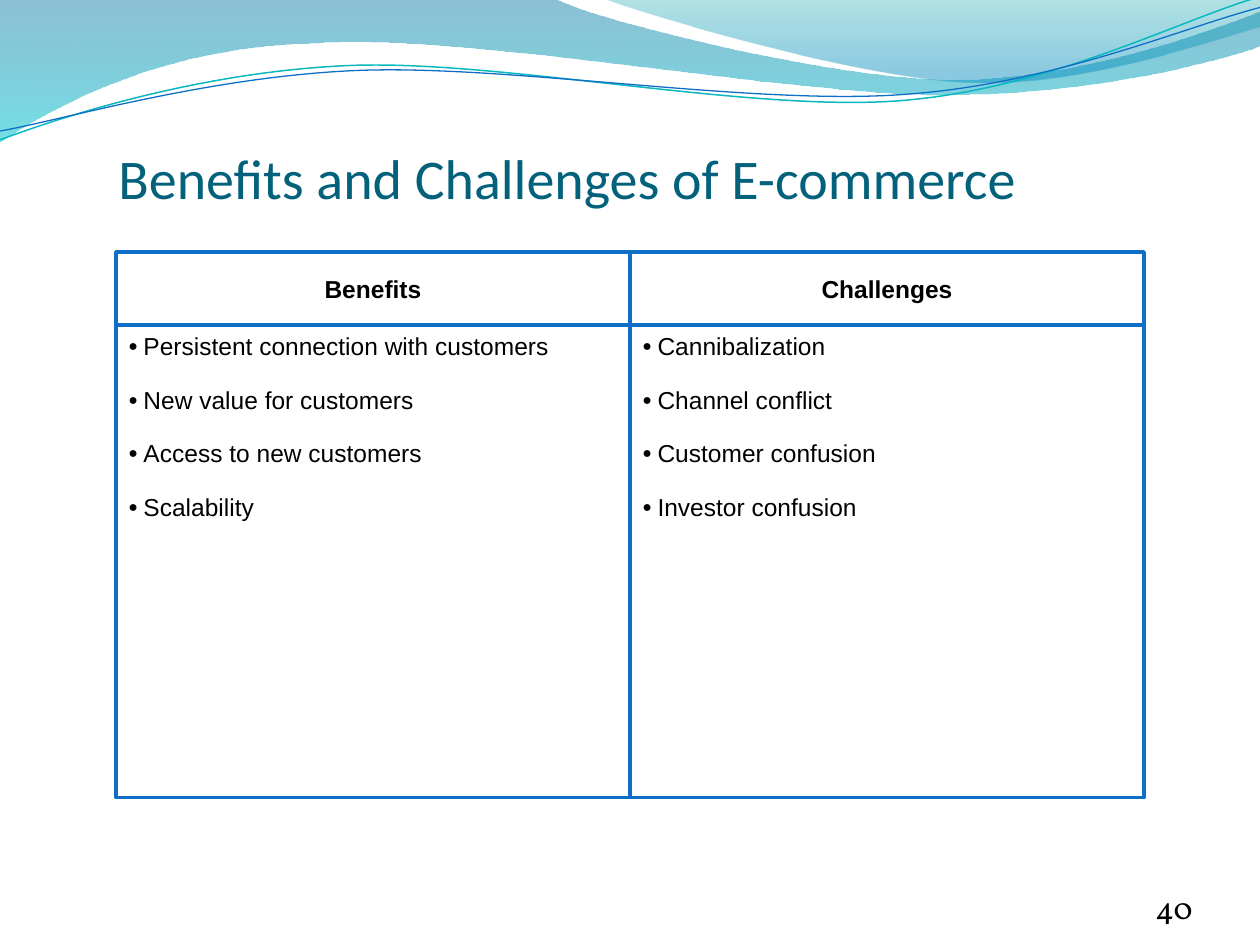
import math
from typing import NamedTuple, Optional

from lxml import etree
from pptx import Presentation
from pptx.dml.color import RGBColor
from pptx.enum.shapes import MSO_SHAPE
from pptx.enum.text import MSO_ANCHOR, PP_ALIGN
from pptx.oxml.ns import qn
from pptx.util import Inches, Pt

RECT = MSO_SHAPE.RECTANGLE
TOP, MIDDLE, BOTTOM = MSO_ANCHOR.TOP, MSO_ANCHOR.MIDDLE, MSO_ANCHOR.BOTTOM
LEFT, CENTER = PP_ALIGN.LEFT, PP_ALIGN.CENTER

BLUE = RGBColor(0x0F, 0x6F, 0xC6)
TEAL = RGBColor(0x0A, 0xB8, 0xBF)
TITLE_BLUE = RGBColor(0x04, 0x61, 0x7B)
BLACK = RGBColor(0, 0, 0)
WHITE = RGBColor(0xFF, 0xFF, 0xFF)
LINE_TILT = -2.7


class Stop(NamedTuple):
    position: float
    color: RGBColor
    opacity: int


class Wave(NamedTuple):
    """Each segment is an end point (2 numbers) or a Bezier curve (6)."""
    start: tuple
    segments: list
    stops: Optional[list] = None
    line_color: Optional[RGBColor] = None
    line_width: float = 0
    center: tuple = (0, 0)


class Column(NamedTuple):
    heading: str
    points: list


WAVES = [
    Wave((0, 0), [(4.4, -0.01), (4.76, 0.17, 6.64, 0.63, 7.58, 0.63),
                  (8.53, 0.63, 9.58, 0.26, 10, 0.09), (10.01, 0.36),
                  (9.83, 0.44, 8.7, 0.76, 7.46, 0.75),
                  (6.22, 0.75, 3.82, 0.28, 2.57, 0.34),
                  (1.29, 0.36, 0.46, 0.83, -0.01, 1.13), (0, 0)],
         stops=[Stop(0, RGBColor(0x00, 0x74, 0xA1), 45),
                Stop(1, RGBColor(0x00, 0xC6, 0xCF), 55)]),
    Wave((4.79, -0.01), [(5.09, 0.11, 6.82, 0.62, 7.69, 0.65),
                         (8.56, 0.69, 9.61, 0.32, 10, 0.21), (10, 0),
                         (4.79, -0.01)],
         stops=[Stop(0, RGBColor(0x00, 0xA1, 0xA9), 30),
                Stop(0.8, RGBColor(0x00, 0x8B, 0xBF), 45)]),
    Wave((0, 1.11), [(0.48, 0.93, 1.58, 0.57, 2.77, 0.52),
                     (3.95, 0.47, 5.93, 0.89, 7.13, 0.8),
                     (8.33, 0.71, 9.38, 0.15, 9.98, -0.02)],
         line_color=TEAL, line_width=0.85, center=(4.99, 0.58)),
    Wave((0, 1.04), [(0.47, 0.96, 1.64, 0.61, 2.83, 0.56),
                     (4.03, 0.51, 5.97, 0.84, 7.17, 0.75),
                     (8.36, 0.67, 9.41, 0.21, 10, 0.06)],
         line_color=BLUE, line_width=0.75, center=(5, 0.59)),
]

COLUMNS = [
    Column("Benefits", ["Persistent connection with customers",
                        "New value for customers",
                        "Access to new customers", "Scalability"]),
    Column("Challenges", ["Cannibalization", "Channel conflict",
                          "Customer confusion", "Investor confusion"]),
]
GRID_LEFT, GRID_TOP, COLUMN_WIDTH = 0.92, 2, 4.08
HEADING_HEIGHT, BODY_HEIGHT = 0.58, 3.75


def set_all(target, values: dict) -> None:
    for name, value in values.items():
        setattr(target, name, value)


def level(point: tuple, center: tuple) -> tuple:
    """Turn a point of a tilted line back to the level position."""
    angle = math.radians(-LINE_TILT)
    dx, dy = point[0] - center[0], point[1] - center[1]
    return (center[0] + dx * math.cos(angle) - dy * math.sin(angle),
            center[1] + dx * math.sin(angle) + dy * math.cos(angle))


def bend(sp, segments: list) -> None:
    """Join each run of three straight steps of a curve into one Bezier."""
    steps = iter(list(sp._element.iter(qn("a:lnTo"))))
    for segment in segments:
        first = next(steps)
        if len(segment) == 6:
            first.tag = qn("a:cubicBezTo")
            for _ in range(2):
                step = next(steps)
                first.append(step[0])
                step.getparent().remove(step)


def add_wave(s, wave: Wave) -> None:
    points = [wave.start]
    for segment in wave.segments:
        points += zip(segment[::2], segment[1::2])
    if not wave.stops:
        points = [level(point, wave.center) for point in points]
    emu = [(Inches(x), Inches(y)) for x, y in points]
    builder = s.shapes.build_freeform(*emu[0])
    builder.add_line_segments(emu[1:], close=bool(wave.stops))
    sp = builder.convert_to_shape()
    bend(sp, wave.segments)
    sp.shadow.inherit = False
    if not wave.stops:
        sp.rotation = LINE_TILT
        sp.fill.background()
        sp.line.color.rgb = wave.line_color
        sp.line.width = Pt(wave.line_width)
        return
    sp.line.fill.background()
    sp.fill.gradient()
    sp.fill.gradient_angle = 270
    for stop, values in zip(sp.fill.gradient_stops, wave.stops):
        stop.position = values.position
        stop.color.rgb = values.color
    colors = sp._element.spPr.iter(qn("a:srgbClr"))
    for color, values in zip(colors, wave.stops):
        etree.SubElement(color, qn("a:alpha"), val=str(values.opacity * 1000))


def write(tf, lines: list, font: dict, color: RGBColor, **para) -> None:
    for i, text in enumerate(lines):
        p = tf.paragraphs[0] if i == 0 else tf.add_paragraph()
        set_all(p, para)
        r = p.add_run()
        r.text = text
        set_all(r.font, font)
        r.font.color.rgb = color


def add_bullet(p) -> None:
    pPr = p._p.get_or_add_pPr()
    pPr.set("marL", str(Inches(0.12)))
    pPr.set("indent", str(-Inches(0.12)))
    etree.SubElement(pPr, qn("a:buSzPct"), val="65000")
    etree.SubElement(pPr, qn("a:buFont"), typeface="Arial")
    etree.SubElement(pPr, qn("a:buChar"), char="●")


def add_cell(s, left: float, top: float, height: float):
    sp = s.shapes.add_shape(RECT, Inches(left), Inches(top),
                            Inches(COLUMN_WIDTH), Inches(height))
    sp.shadow.inherit = False
    sp.fill.solid()
    sp.fill.fore_color.rgb = WHITE
    sp.line.color.rgb = BLUE
    sp.line.width = Pt(2)
    return sp.text_frame


def add_column(s, left: float, column: Column) -> None:
    font = {"name": "Arial", "size": Pt(14)}
    tf = add_cell(s, left, GRID_TOP, HEADING_HEIGHT)
    set_all(tf, {"vertical_anchor": MIDDLE, "word_wrap": False})
    write(tf, [column.heading], {**font, "bold": True}, BLACK,
          alignment=CENTER)

    tf = add_cell(s, left, GRID_TOP + HEADING_HEIGHT, BODY_HEIGHT)
    set_all(tf, {"vertical_anchor": TOP, "word_wrap": True})
    write(tf, column.points, font, BLACK, alignment=LEFT,
          space_after=Pt(13.8))
    for p in tf.paragraphs:
        add_bullet(p)


def main() -> None:
    prs = Presentation()
    prs.slide_width, prs.slide_height = Inches(10), Inches(7.5)
    s = prs.slides.add_slide(prs.slide_layouts[5])

    # Wave header
    for wave in WAVES:
        add_wave(s, wave)

    # Title
    title = s.shapes.title
    set_all(title, {"left": Inches(0.75), "top": Inches(0.42),
                    "width": Inches(8.84), "height": Inches(1.25)})
    set_all(title.text_frame, {"vertical_anchor": BOTTOM, "word_wrap": True,
                               "margin_left": Inches(0.19), "margin_right": 0,
                               "margin_top": Inches(0.05), "margin_bottom": 0})
    write(title.text_frame, ["Benefits and Challenges of E-commerce"],
          {"name": "Calibri", "size": Pt(32)}, TITLE_BLUE, alignment=LEFT)

    # Slide number
    tf = s.shapes.add_textbox(Inches(8.67), Inches(6.95),
                              Inches(0.83), Inches(0.4)).text_frame
    set_all(tf, {"vertical_anchor": BOTTOM, "word_wrap": True,
                 "margin_left": Inches(0.5), "margin_right": 0,
                 "margin_top": 0, "margin_bottom": 0})
    write(tf, ["40"], {"name": "Vollkorn", "size": Pt(18)}, BLACK)

    # Benefits and challenges
    for i, column in enumerate(COLUMNS):
        add_column(s, GRID_LEFT + i * COLUMN_WIDTH, column)

    prs.save("out.pptx")


if __name__ == "__main__":
    main()
